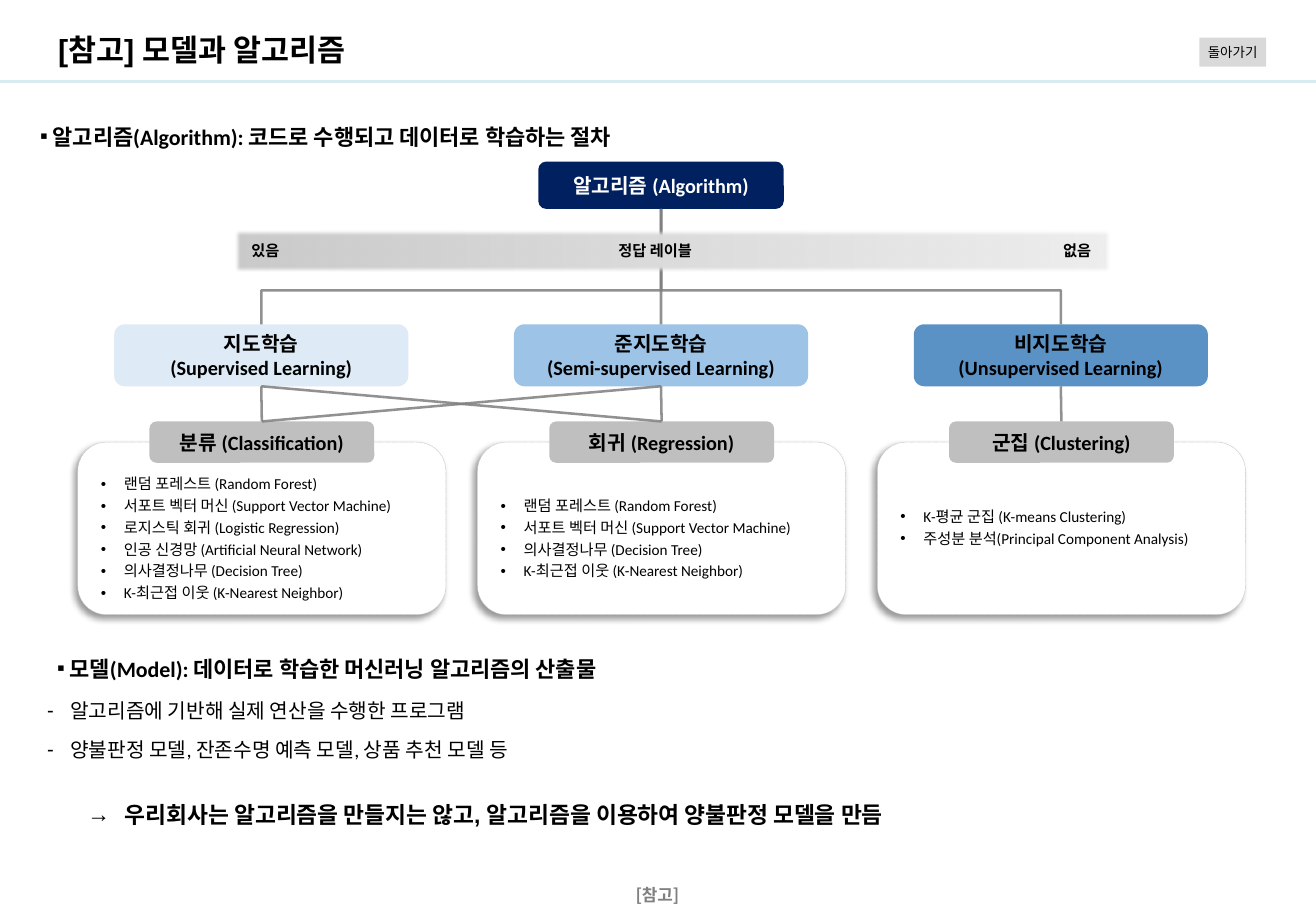
"""Build the reference slide on machine learning models and algorithms."""
from lxml.etree import SubElement
from pptx import Presentation
from pptx.dml.color import RGBColor
from pptx.enum.dml import MSO_LINE
from pptx.enum.shapes import MSO_CONNECTOR as LINK, MSO_SHAPE as SHAPE
from pptx.enum.text import MSO_ANCHOR as ANCHOR, PP_ALIGN as ALIGN
from pptx.oxml.ns import qn
from pptx.util import Inches, Pt

BLACK, WHITE = RGBColor(0, 0, 0), RGBColor(255, 255, 255)
NAVY, RULE = RGBColor(0x00, 0x20, 0x60), RGBColor(0xD9, 0xEA, 0xF1)
GRAY, SILVER = RGBColor(0x80, 0x80, 0x80), RGBColor(0xBF, 0xBF, 0xBF)
BUTTON = RGBColor(0xD9, 0xD9, 0xD9)
PALE, SKY, BLUE = RGBColor(0xDE, 0xEB, 0xF7), RGBColor(0x9D, 0xC3, 0xE6), RGBColor(0x2E, 0x75, 0xB6)
BAR_LEFT, BAR_RIGHT = RGBColor(0xCA, 0xCA, 0xCA), RGBColor(0xEE, 0xEE, 0xEE)
KOREAN = "Noto Sans CJK KR"
CENTERS = [2.15 + 3.29 * column for column in range(3)]

deck = Presentation()
deck.slide_width, deck.slide_height = Inches(10.83), Inches(7.5)
page = deck.slides.add_slide(deck.slide_layouts[6])


def add_box(at, kind=None, fill=None):
    """Add a text box, or a filled shape without outline."""
    lengths = [Inches(value) for value in at]
    if kind is None:
        return page.shapes.add_textbox(*lengths)
    box = page.shapes.add_shape(kind, *lengths)
    box.shadow.inherit = False
    box.line.fill.background()
    box.fill.solid()
    box.fill.fore_color.rgb = fill
    return box


def write(box, lines, size, bold=True, color=BLACK, font="Calibri", align=ALIGN.LEFT,
          anchor=ANCHOR.TOP, insets=(0.1, 0.05, 0.1, 0.05), wrap=True,
          spacing=1.0, after=0, after_share=0, bullet=None, indent=0):
    """Fill a box with one paragraph per line."""
    frame = box.text_frame
    frame.word_wrap, frame.vertical_anchor = wrap, anchor
    for side, inset in zip(("left", "top", "right", "bottom"), insets):
        setattr(frame, f"margin_{side}", Inches(inset))
    for index, line in enumerate(lines):
        para = frame.add_paragraph() if index else frame.paragraphs[0]
        para.alignment, para.line_spacing, para.space_after = align, spacing, Pt(after)
        settings = para._p.get_or_add_pPr()
        if after_share:
            gap = settings.find(qn("a:spcAft"))
            gap.remove(gap[0])
            SubElement(gap, qn("a:spcPct"), val=str(after_share * 1000))
        if bullet:
            settings.set("marL", str(Inches(indent)))
            settings.set("indent", str(-Inches(indent)))
            SubElement(settings, qn("a:buFont"), typeface="Arial")
            SubElement(settings, qn("a:buChar"), char=bullet)
        span = para.add_run()
        span.text = line
        for name, value in {"size": Pt(size), "bold": bold, "name": font}.items():
            setattr(span.font, name, value)
        span.font.color.rgb = color
        SubElement(span._r.get_or_add_rPr(), qn("a:ea"), typeface=KOREAN)


rule = page.shapes.add_connector(LINK.STRAIGHT, 0, Inches(0.67), deck.slide_width, Inches(0.67))
rule.line.color.rgb, rule.line.width = RULE, Pt(2)
SubElement(rule._element.spPr, qn("a:effectLst"))

write(add_box((4.61, 7.2, 1.6, 0.25)), ["[참고]"], 10, color=GRAY, font=KOREAN,
      align=ALIGN.CENTER, spacing=1.2)
write(add_box((0.38, 0.23, 5.04, 0.39)), ["[참고] 모델과 알고리즘"], 18, font="Arial",
      anchor=ANCHOR.MIDDLE, spacing=0.9)

headings = [
    ((0.39, 5.31, 5.76, 0.34), " 모델(Model): 데이터로 학습한 머신러닝 알고리즘의 산출물"),
    ((0.25, 0.93, 5.39, 0.34), " 알고리즘(Algorithm): 코드로 수행되고 데이터로 학습하는 절차"),
]
for at, heading in headings:
    write(add_box(at), [heading], 13, insets=(0.08, 0.04, 0.04, 0.04),
          spacing=1.2, after=6, bullet="▪")
write(add_box((0.29, 5.66, 4.83, 0.67)),
      ["알고리즘에 기반해 실제 연산을 수행한 프로그램", "양불판정 모델, 잔존수명 예측 모델, 상품 추천 모델 등"],
      12, bold=False, spacing=1.2, after=6, bullet="-", indent=0.19)
write(add_box((0.62, 6.5, 9.76, 0.37)),
      ["우리회사는 알고리즘을 만들지는 않고, 알고리즘을 이용하여 양불판정 모델을 만듬"],
      13.5, font="Arial", spacing=1.2, after=6, bullet="→", indent=0.31)

forest, machine = "랜덤 포레스트 (Random Forest)", "서포트 벡터 머신 (Support Vector Machine)"
tree, neighbor = "의사결정나무 (Decision Tree)", "K-최근접 이웃 (K-Nearest Neighbor)"
columns = [
    (["지도학습", "(Supervised Learning)"], PALE, "분류 (Classification)", 0.19,
     [forest, machine, "로지스틱 회귀 (Logistic Regression)",
      "인공 신경망 (Artificial Neural Network)", tree, neighbor]),
    (["준지도학습", "(Semi-supervised Learning)"], SKY, "회귀 (Regression)", 0.19,
     [forest, machine, tree, neighbor]),
    (["비지도학습", "(Unsupervised Learning)"], BLUE, "군집 (Clustering)", 0.01,
     ["K-평균 군집 (K-means Clustering)", "주성분 분석(Principal Component Analysis)"]),
]
centered = {"align": ALIGN.CENTER, "anchor": ANCHOR.MIDDLE}
root = add_box((CENTERS[1] - 1.01, 1.33, 2.02, 0.39), SHAPE.ROUNDED_RECTANGLE, NAVY)
write(root, ["알고리즘 (Algorithm)"], 12, color=WHITE, **centered)

methods, tasks = [], []
for center, (method_name, tint, task_name, top_inset, items) in zip(CENTERS, columns):
    panel = add_box((center - 1.51, 3.64, 3.03, 1.42), SHAPE.ROUNDED_RECTANGLE, WHITE)
    panel.line.color.rgb, panel.line.width = SILVER, Pt(0.25)
    panel.line.dash_style = MSO_LINE.ROUND_DOT
    shadow = SubElement(panel._element.spPr.find(qn("a:effectLst")), qn("a:outerShdw"),
                        blurRad=str(Pt(4)), dist=str(Pt(3)), dir="8100000", algn="tr", rotWithShape="0")
    SubElement(SubElement(shadow, qn("a:srgbClr"), val="000000"), qn("a:alpha"), val="40000")
    write(panel, items, 9, bold=False, anchor=ANCHOR.MIDDLE, insets=(0.12, top_inset, 0.01, 0.01),
          spacing=0.9, after_share=35, bullet="•", indent=0.19)

    method = add_box((center - 1.21, 2.67, 2.42, 0.51), SHAPE.ROUNDED_RECTANGLE, tint)
    write(method, method_name, 12, **centered)
    methods.append(method)
    task = add_box((center - 0.92, 3.47, 1.85, 0.34), SHAPE.ROUNDED_RECTANGLE, SILVER)
    write(task, [task_name], 12, **centered)
    tasks.append(task)
SubElement(methods[2]._element.spPr.find(".//" + qn("a:srgbClr")), qn("a:alpha"), val="79000")

links = [(root, method) for method in methods]
links += [(methods[a], tasks[b]) for a, b in [(0, 1), (1, 0), (1, 1), (0, 0), (2, 2)]]
for start, end in links:
    bent = start is root and end is not methods[1]
    link = page.shapes.add_connector(LINK.ELBOW if bent else LINK.STRAIGHT, 0, 0, 0, 0)
    link.begin_connect(start, 2)
    link.end_connect(end, 0)
    link.line.color.rgb, link.line.width = GRAY, Pt(1.5)
    outline = link._element.spPr
    SubElement(outline.find(".//" + qn("a:srgbClr")), qn("a:alpha"), val="86000")
    SubElement(outline, qn("a:effectLst"))
    if bent:
        drop, reach = link.height, link.width
        middle_x, middle_y = link.left + reach // 2, link.top + drop // 2
        rightward = link.end_x > link.begin_x
        link.left, link.top = middle_x - drop // 2, middle_y - reach // 2
        link.width, link.height = drop, reach
        outline.xfrm.set("rot", "16200000" if rightward else "5400000")
        outline.xfrm.set("flipH", "1" if rightward else "0")
        guides = outline.find(qn("a:prstGeom")).find(qn("a:avLst"))
        SubElement(guides, qn("a:gd"), name="adj1", fmla="val 70600")

bar = add_box((1.93, 1.89, 7.21, 0.35), SHAPE.RECTANGLE, WHITE)
bar.line.color.rgb, bar.line.width = WHITE, Pt(0.25)
bar.fill.gradient()
bar.fill.gradient_angle = 0
for stop, tone in zip(bar.fill.gradient_stops, (BAR_LEFT, BAR_RIGHT)):
    stop.color.rgb = tone
SubElement(bar._element.spPr.find(qn("a:effectLst")), qn("a:softEdge"), rad=str(Pt(2.5)))
for left, width, label in [(1.97, 0.46, "있음"), (8.65, 0.46, "없음"), (4.99, 0.89, "정답 레이블")]:
    write(add_box((left, 1.94, width, 0.25)), [label], 9, anchor=ANCHOR.MIDDLE, wrap=False)

button = add_box((9.87, 0.31, 0.55, 0.24), SHAPE.RECTANGLE, BUTTON)
write(button, ["돌아가기"], 8, bold=False, insets=(0, 0, 0, 0), **centered)

deck.save("out.pptx")
